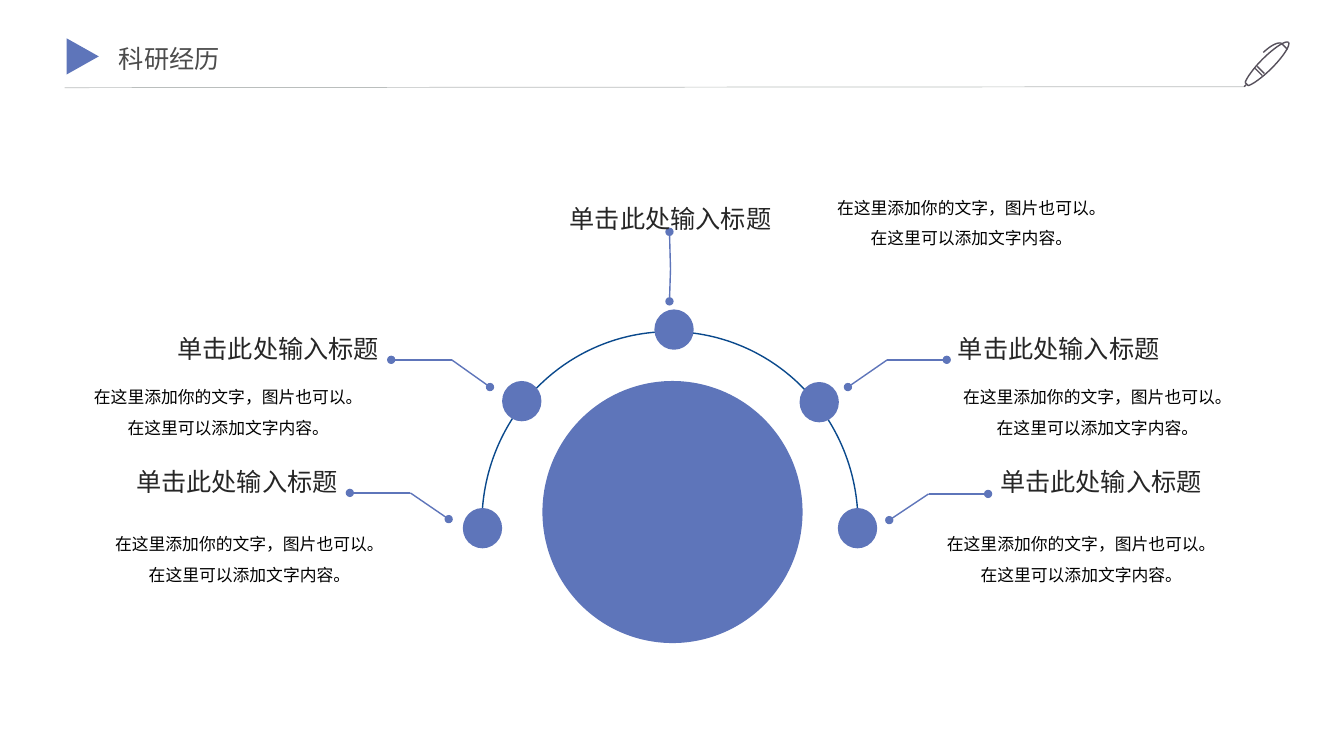
from lxml.etree import SubElement
from pptx import Presentation
from pptx.dml.color import RGBColor
from pptx.enum.shapes import MSO_CONNECTOR, MSO_SHAPE
from pptx.enum.text import MSO_ANCHOR, MSO_AUTO_SIZE, PP_ALIGN
from pptx.oxml.ns import qn
from pptx.util import Pt

PX = 9144
FONT = "Noto Sans CJK SC"
BLUE, NAVY, GREY, INK = "5E75BA", "0A498C", "BABEBD", "56505B"
HEADING = "单击此处输入标题"
BODY = "在这里添加你的文字，图片也可以。在这里可以添加文字内容。"
LEFT, CENTER, RIGHT = PP_ALIGN.LEFT, PP_ALIGN.CENTER, PP_ALIGN.RIGHT

TOPICS = [
    ((649, 307), [(664, 299), (665, 267), (664, 230)], (550, 202), CENTER, (814, 181)),
    ((498, 378), [(486, 384), (448, 357), (388, 357)], (146, 331), RIGHT, (77, 369)),
    ((793, 379), [(841, 384), (880, 357), (939, 357)], (950, 331), LEFT, (939, 369)),
    ((459, 504), [(445, 515), (407, 489), (347, 489)], (105, 463), RIGHT, (98, 515)),
    ((831, 504), [(882, 516), (921, 490), (980, 490)], (992, 463), LEFT, (923, 515)),
]

PEN_STROKES = [
    [(1252, 75), (1245, 68)],
    [(1247, 66), (1254, 73)],
    [(1278, 42), (1275, 40), (1264, 47), (1252, 59), (1243, 68), (1236, 78), (1235, 82)],
    [(1235, 82), (1238, 85)],
    [(1238, 85), (1242, 84), (1252, 77), (1261, 68), (1273, 56), (1280, 45), (1278, 42)],
    [(1236, 84), (1234, 86)],
    [(1277, 49), (1271, 43)],
    [(1271, 43), (1271, 43), (1266, 40), (1253, 52)],
]


def rgb(color):
    return RGBColor.from_string(color)


def bezier(p0, p1, p2, p3, steps=12):
    for i in range(steps + 1):
        t = i / steps
        u = 1 - t
        yield tuple(u**3 * a + 3 * u * u * t * b + 3 * u * t * t * c + t**3 * d
                    for a, b, c, d in zip(p0, p1, p2, p3))


def flatten(stroke):
    if len(stroke) == 2:
        return stroke
    return [pt for i in range(0, len(stroke) - 1, 3) for pt in bezier(*stroke[i:i + 4])]


class Deck:
    """Draws styled elements on the current slide, with lengths in px."""

    def __init__(self, width, height):
        self.prs = Presentation()
        self.prs.slide_width, self.prs.slide_height = width * PX, height * PX
        self.s = self.prs.slides.add_slide(self.prs.slide_layouts[5])

    def place(self, sp, x, y, w, h):
        sp.left, sp.top, sp.width, sp.height = (v * PX for v in (x, y, w, h))

    def set_text(self, sp, text, size, color, align, spacing=None, wrap=True):
        tf = sp.text_frame
        tf.text = text
        tf.word_wrap = wrap
        tf.auto_size = MSO_AUTO_SIZE.SHAPE_TO_FIT_TEXT
        tf.vertical_anchor = MSO_ANCHOR.TOP
        p = tf.paragraphs[0]
        p.alignment = align
        if spacing:
            p.line_spacing = spacing
        r = p.runs[0]
        r.font.size, r.font.name = Pt(size), FONT
        r.font.color.rgb = rgb(color)
        SubElement(r._r.get_or_add_rPr(), qn("a:ea"), typeface=FONT)

    def title(self, text, x, y, w, h):
        sp = self.s.shapes.title
        self.place(sp, x, y, w, h)
        self.set_text(sp, text, 18, "4C4C4C", LEFT, wrap=False)

    def heading(self, text, x, y, align):
        sp = self.s.shapes.add_textbox(x * PX, y * PX, 230 * PX, 30 * PX)
        tf = sp.text_frame
        tf.margin_left = tf.margin_right = tf.margin_top = tf.margin_bottom = 0
        self.set_text(sp, text, 18, "262626", align)

    def body(self, text, x, y):
        sp = self.s.shapes.add_textbox(x * PX, y * PX, 299 * PX, 71 * PX)
        self.set_text(sp, text, 12, "000000", CENTER, spacing=1.5)

    def shape(self, kind, x, y, w, h, color, rotation=0):
        sp = self.s.shapes.add_shape(kind, x * PX, y * PX, w * PX, h * PX)
        sp.shadow.inherit = False
        sp.fill.solid()
        sp.fill.fore_color.rgb = rgb(color)
        sp.line.fill.background()
        sp.rotation = rotation

    def outline(self, sp, color, width):
        sp.shadow.inherit = False
        sp.fill.background()
        sp.line.color.rgb = rgb(color)
        sp.line.width = Pt(width)

    def half_ring(self, x, y, w, h, color):
        sp = self.s.shapes.add_shape(MSO_SHAPE.ARC, x * PX, y * PX, w * PX, h * PX)
        sp.adjustments[0], sp.adjustments[1] = 108, 0
        self.outline(sp, color, 1)

    def sketch(self, strokes, color):
        fb = None
        for stroke in strokes:
            pts = [(a * PX, b * PX) for a, b in flatten(stroke)]
            if fb is None:
                fb = self.s.shapes.build_freeform(*pts[0])
            else:
                fb.move_to(*pts[0])
            fb.add_line_segments(pts[1:], close=False)
        self.outline(fb.convert_to_shape(), color, 1)

    def line(self, start, end, color, width, dot=None, shapes=None):
        ends = [v * PX for v in (*start, *end)]
        cn = (shapes or self.s.shapes).add_connector(MSO_CONNECTOR.STRAIGHT, *ends)
        cn.line.color.rgb = rgb(color)
        cn.line.width = Pt(width)
        spPr = cn._element.spPr
        if dot:
            SubElement(spPr.find(qn("a:ln")), qn(dot), type="oval")
        SubElement(spPr, qn("a:effectLst"))

    def leader(self, start, bend, end, color):
        shapes = self.s.shapes.add_group_shape().shapes
        self.line(start, bend, color, 1, "a:headEnd", shapes)
        self.line(bend, end, color, 1, "a:tailEnd", shapes)


def main():
    deck = Deck(1333, 750)
    deck.title("科研经历", 108, 38, 127, 40)
    deck.shape(MSO_SHAPE.ISOSCELES_TRIANGLE, 64, 40, 36, 32, BLUE, rotation=90)
    deck.line((64, 87), (1234, 86), GREY, 0.5)
    deck.sketch(PEN_STROKES, INK)

    deck.half_ring(478, 329, 373, 380, NAVY)
    deck.shape(MSO_SHAPE.OVAL, 538, 378, 258, 260, BLUE)
    for node, leader, heading, align, body in TOPICS:
        deck.shape(MSO_SHAPE.OVAL, *node, 39, 40, BLUE)
        deck.leader(*leader, BLUE)
        deck.heading(HEADING, *heading, align)
        deck.body(BODY, *body)
    deck.prs.save("out.pptx")


if __name__ == "__main__":
    main()
